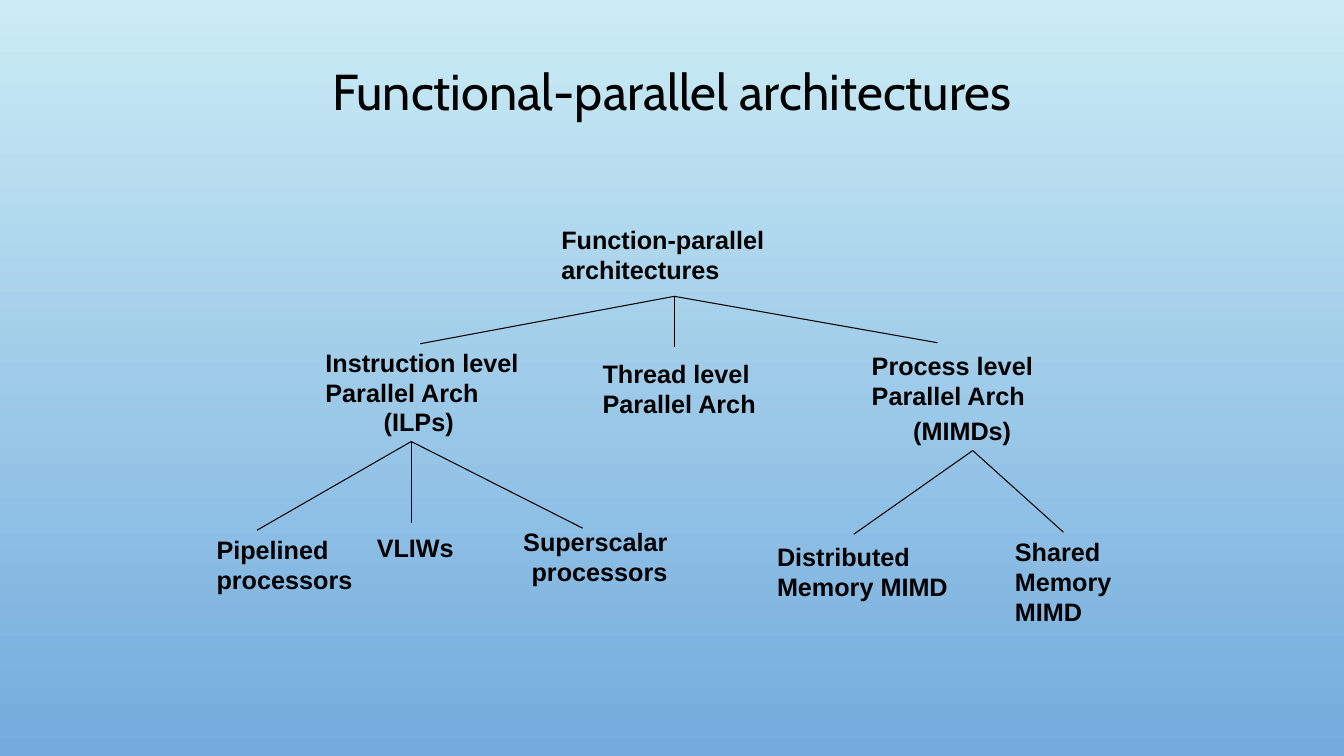
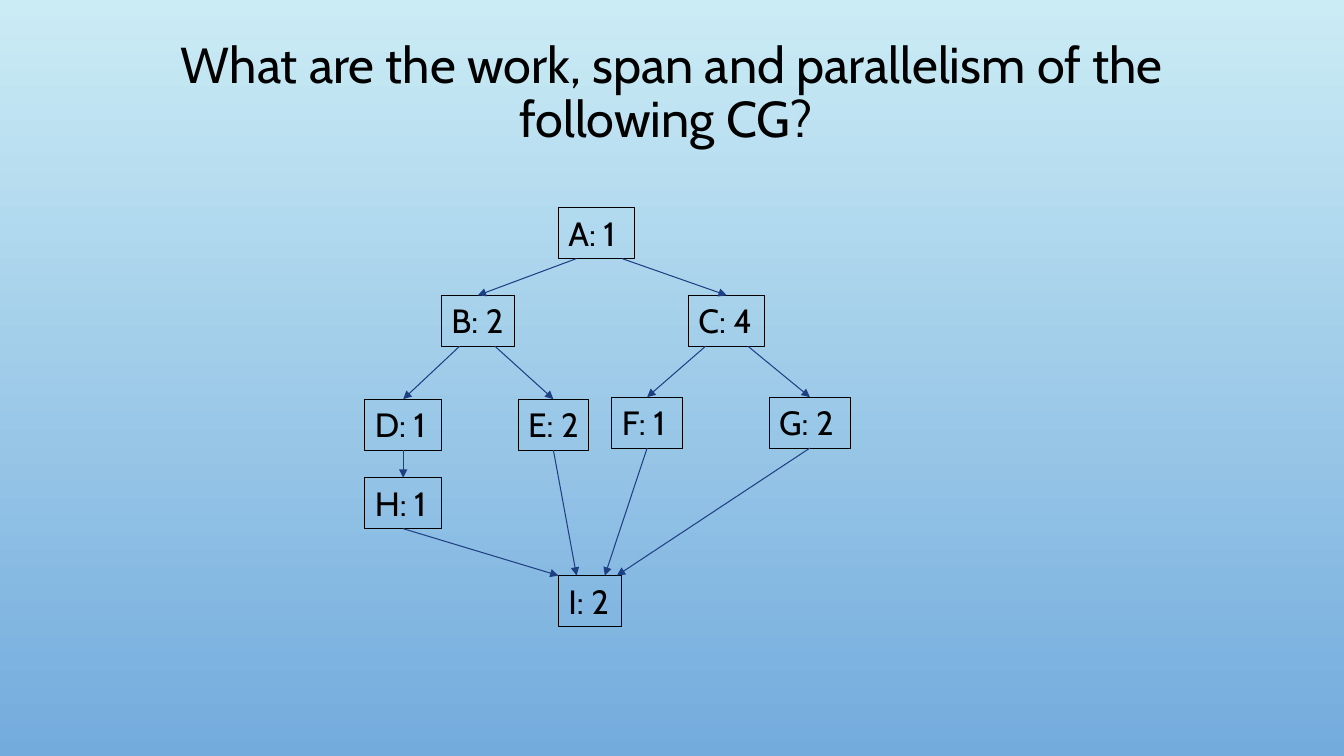
from lxml import etree
from pptx import Presentation
from pptx import util as u
from pptx.dml import color
from pptx.enum import shapes, text
from pptx.oxml import ns

BLACK, NAVY = "000000", "1F3F83"
SKY_TOP, SKY_BOTTOM = "CBECF5", "73ABDD"
LEFT, CENTER, RIGHT = text.PP_ALIGN.LEFT, text.PP_ALIGN.CENTER, text.PP_ALIGN.RIGHT
TITLE_ONLY = 5
TOP, BOTTOM = 0, 2
NODE_HEIGHT = 5.05


def rgb(value):
    """Turn a hex string into a colour."""
    return color.RGBColor.from_string(value)


def cells(*counts):
    """Turn grid columns or rows, ten to the inch, into lengths."""
    return [u.Inches(count / 10) for count in counts]


class Deck:
    """Hold the shared style and the slide being filled."""

    def __init__(self):
        """Set the slide size and the background of the master."""
        self.presentation = Presentation()
        self.presentation.slide_width, self.presentation.slide_height = cells(133.33, 75)
        fill = self.presentation.slide_master.background.fill
        fill.gradient()
        fill.gradient_angle = 270
        for stop, shade in zip(fill.gradient_stops, (SKY_TOP, SKY_BOTTOM)):
            stop.color.rgb = rgb(shade)
        self.slide = None

    def set_text(self, shape, words, size, font, bold=False, align=LEFT,
                 anchor=text.MSO_ANCHOR.TOP, wrap=True):
        """Put one formatted paragraph into a shape."""
        frame = shape.text_frame
        frame.text = words
        frame.word_wrap = wrap
        frame.vertical_anchor = anchor
        paragraph = frame.paragraphs[0]
        paragraph.alignment = align
        for run in paragraph.runs:
            run.font.size = u.Pt(size)
            run.font.name = font
            run.font.bold = bold
            run.font.color.rgb = rgb(BLACK)
        return frame

    def add_slide(self, title):
        """Start a slide with its title."""
        layout = self.presentation.slide_layouts[TITLE_ONLY]
        self.slide = self.presentation.slides.add_slide(layout)
        shape = self.slide.shapes.title
        shape.left, shape.top, shape.width, shape.height = cells(10, 3.2, 113.3, 12.3)
        frame = self.set_text(shape, title, 36, "Cabin", align=CENTER,
                              anchor=text.MSO_ANCHOR.MIDDLE)
        frame.auto_size = text.MSO_AUTO_SIZE.NONE
        frame.paragraphs[0].line_spacing = 0.9

    def label(self, words, place, align=LEFT, wrap=True):
        """Add a bold label that stands on the bottom of its box."""
        shape = self.slide.shapes.add_textbox(*cells(*place))
        frame = self.set_text(shape, words, 18, "Arial", True, align,
                              text.MSO_ANCHOR.BOTTOM, wrap)
        frame.auto_size = text.MSO_AUTO_SIZE.SHAPE_TO_FIT_TEXT

    def node(self, words, column, row, width):
        """Add an outlined graph node."""
        shape = self.slide.shapes.add_shape(
            shapes.MSO_SHAPE.RECTANGLE, *cells(column, row, width, NODE_HEIGHT))
        shape.shadow.inherit = False
        shape.fill.background()
        shape.line.color.rgb = rgb(BLACK)
        shape.line.width = u.Pt(0.75)
        frame = self.set_text(shape, words, 24, "Cabin", wrap=False)
        frame.auto_size = text.MSO_AUTO_SIZE.SHAPE_TO_FIT_TEXT
        return shape

    def line(self, start, end, shade=BLACK, arrow=False):
        """Add a straight line, with an arrowhead if wanted."""
        connector = self.slide.shapes.add_connector(
            shapes.MSO_CONNECTOR.STRAIGHT, *cells(*start, *end))
        connector.line.color.rgb = rgb(shade)
        connector.line.width = u.Pt(0.75)
        properties = connector._element.spPr
        if arrow:
            outline = properties.find(ns.qn("a:ln"))
            etree.SubElement(outline, ns.qn("a:tailEnd"), type="triangle")
        etree.SubElement(properties, ns.qn("a:effectLst"))
        return connector

    def fan(self, apex, ends):
        """Draw lines from one point to several."""
        for end in ends:
            self.line(apex, end)

    def graph(self, nodes, edges):
        """Draw nodes and arrows, gluing ends that name no column."""
        boxes = {words[0]: self.node(words, *place) for words, *place in nodes}
        places = {words[0]: place for words, *place in nodes}
        for source, start, target, end in edges:
            column, row, width = places[source]
            goal_column, goal_row, goal_width = places[target]
            connector = self.line(
                (start or column + width / 2, row + NODE_HEIGHT),
                (end or goal_column + goal_width / 2, goal_row), NAVY, True)
            if start is None:
                connector.begin_connect(boxes[source], BOTTOM)
            if end is None:
                connector.end_connect(boxes[target], TOP)


def architectures(deck):
    """Build the tree of architectures."""
    deck.add_slide("Functional-parallel architectures")
    for words, *place in (
        ("Function-parallel architectures", 54.7, 19.7, 32.5, 9),
        ("Instruction level Parallel Arch", 31.3, 33.8, 22.8, 7.1),
        ("Thread level Parallel Arch", 58.8, 33, 24.6, 9),
        ("Process level Parallel Arch", 85.5, 32.2, 24, 9),
        ("Pipelined processors", 20.5, 50.5, 22.8, 9),
        ("Distributed Memory MIMD", 76.1, 47.2, 20.8, 13),
        ("Shared Memory MIMD", 99.7, 49.7, 16.4, 13),
    ):
        deck.label(words, place)
    deck.label("Superscalar processors", (45.5, 49.7, 21.7, 9), RIGHT)
    for words, *place in (
        ("(ILPs)", 34.7, 38.8, 11.3, 5),
        ("(MIMDs)", 86.3, 39.7, 15, 5),
        ("VLIWs", 33.8, 51.3, 12.2, 5),
    ):
        deck.label(words, place, RIGHT, wrap=False)
    deck.fan((66.9, 29.4), ((41.7, 34.1), (66.9, 34.4), (93, 34)))
    deck.fan((40.8, 43.8), ((25.5, 52.6), (40.8, 51.9), (57.8, 52.4)))
    deck.fan((96.5, 44.7), ((84.7, 53), (105.5, 52.8)))


def computation_graph(deck):
    """Build the weighted computation graph."""
    deck.add_slide("What are the work, span and parallelism of the following CG? ")
    nodes = (
        ("A: 1", 55.4, 20.6, 7.6),
        ("B: 2", 43.8, 29.3, 7.2),
        ("C: 4", 68.3, 29.3, 7.6),
        ("D: 1", 36.2, 39.6, 7.6),
        ("E: 2", 51.4, 39.6, 7),
        ("F: 1", 60.7, 39.4, 7),
        ("G: 2", 76.3, 39.4, 8.1),
        ("H: 1", 36.2, 47.4, 7.6),
        ("I: 2", 55.4, 57.1, 6.3),
    )
    edges = (
        ("A", 57.2, "B", None),
        ("A", 61.7, "C", None),
        ("B", 45.6, "D", None),
        ("B", 49.1, "E", None),
        ("C", 70, "F", None),
        ("C", 74.2, "G", None),
        ("D", None, "H", None),
        ("H", None, "I", 55.4),
        ("E", None, "I", 57.2),
        ("F", None, "I", 60),
        ("G", None, "I", 61.2),
    )
    deck.graph(nodes, edges)


def main():
    """Build both slides and save them."""
    deck = Deck()
    architectures(deck)
    computation_graph(deck)
    deck.presentation.save("out.pptx")


if __name__ == "__main__":
    main()
